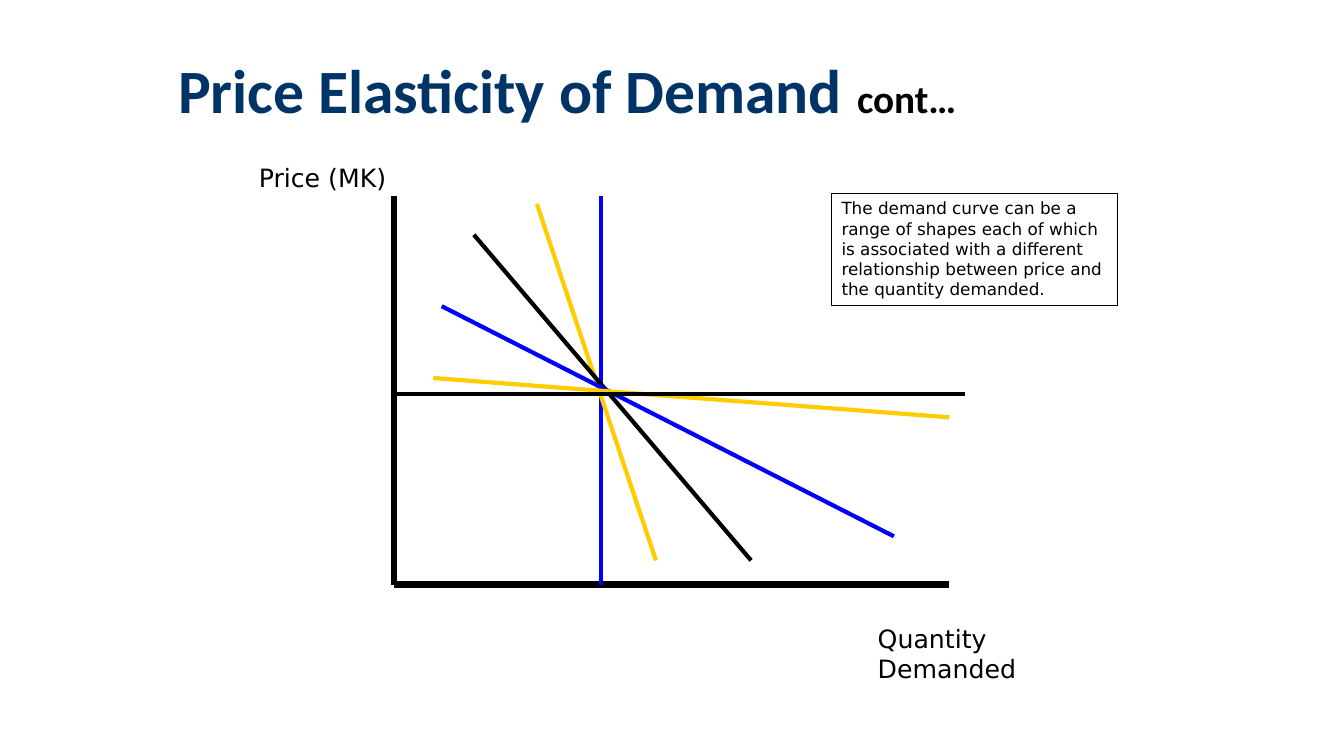
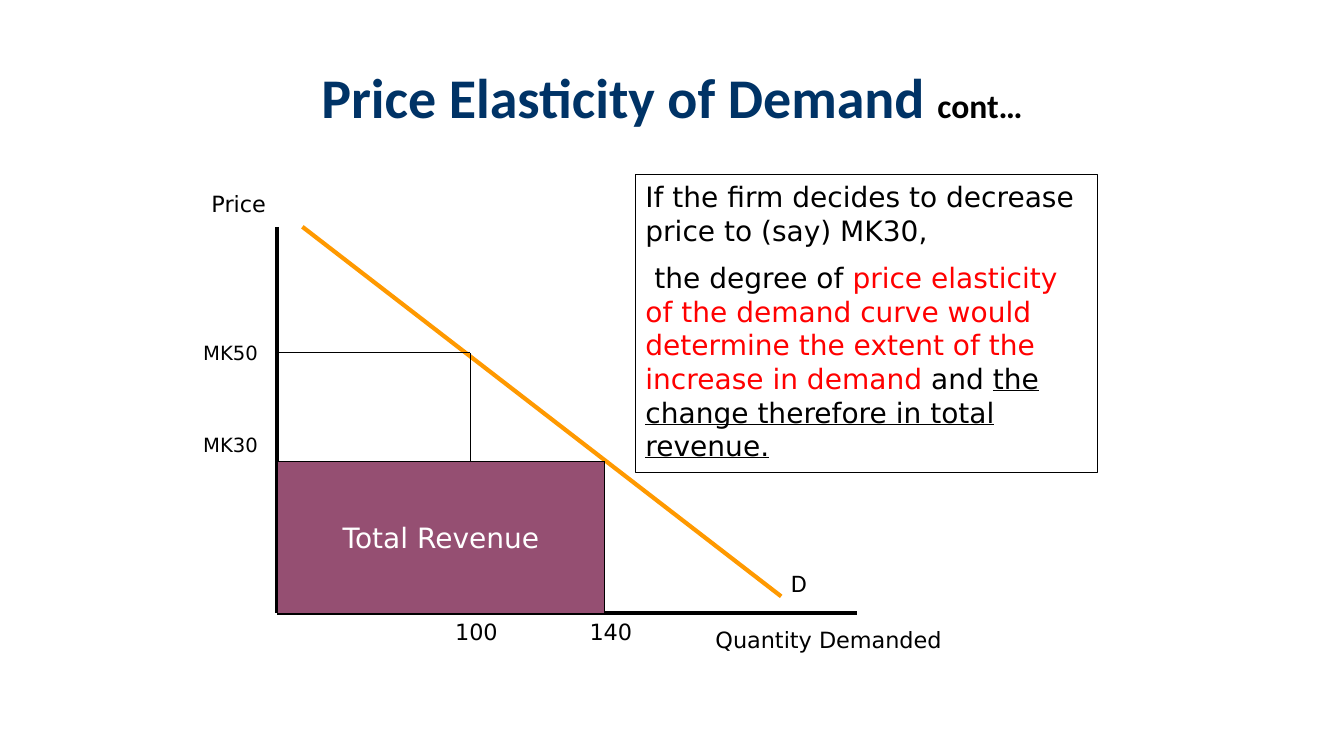
from lxml import etree
from pptx import Presentation
from pptx.dml.color import RGBColor
from pptx.enum.shapes import MSO_CONNECTOR, MSO_SHAPE
from pptx.enum.text import MSO_ANCHOR as ANCHOR, PP_ALIGN as ALIGN
from pptx.oxml.ns import qn
from pptx.util import Pt

NAVY = RGBColor(0x00, 0x33, 0x66)
BLACK = RGBColor(0x00, 0x00, 0x00)
WHITE = RGBColor(0xFF, 0xFF, 0xFF)
BLUE = RGBColor(0x00, 0x00, 0xFF)
YELLOW = RGBColor(0xFF, 0xCC, 0x00)
ORANGE = RGBColor(0xFF, 0x99, 0x00)
RED = RGBColor(0xFF, 0x00, 0x00)
PLUM = RGBColor(0x95, 0x4F, 0x72)

HEAD_FONT = "Calibri"
BODY_FONT = "DejaVu Sans"
TITLE_ONLY = 5


def add_run(p, text, size, color=BLACK, font=BODY_FONT, bold=False, underline=False):
    r = p.add_run()
    r.text = text
    f = r.font
    f.name, f.size, f.bold, f.underline = font, Pt(size), bold, underline
    f.color.rgb = color


def add_title_slide(prs, box, size, cont_size, align):
    """Add a slide with the shared title, placed in box."""
    slide = prs.slides.add_slide(prs.slide_layouts[TITLE_ONLY])
    sp = slide.shapes.title
    sp.left, sp.top, sp.width, sp.height = (Pt(v) for v in box)
    tf = sp.text_frame
    tf.word_wrap = True
    tf.vertical_anchor = ANCHOR.MIDDLE
    p = tf.paragraphs[0]
    p.alignment = align
    p.line_spacing = 0.9
    add_run(p, "Price Elasticity of Demand ", size, NAVY, HEAD_FONT, bold=True)
    add_run(p, "cont…", cont_size, BLACK, HEAD_FONT, bold=True)
    return slide


def add_line(slide, origin, start, end, color=BLACK, width=3):
    """Draw a line between two points given relative to origin."""
    x, y = origin
    line = slide.shapes.add_connector(
        MSO_CONNECTOR.STRAIGHT, Pt(x + start[0]), Pt(y + start[1]),
        Pt(x + end[0]), Pt(y + end[1]))
    line.line.color.rgb = color
    line.line.width = Pt(width)
    etree.SubElement(line._element.spPr, qn("a:effectLst"))


def add_axes(slide, box, width):
    x, y, w, h = box
    add_line(slide, (x, y), (0, 0), (0, h), width=width)
    add_line(slide, (x, y), (0, h), (w, h), width=width)


def add_label(slide, x, y, w, text, size, font=BODY_FONT):
    tb = slide.shapes.add_textbox(Pt(x), Pt(y), Pt(w), Pt(size * 1.65))
    tf = tb.text_frame
    tf.word_wrap = True
    add_run(tf.paragraphs[0], text, size, font=font)


def add_panel(slide, box, fill, anchor=ANCHOR.TOP):
    """Add a thinly outlined rectangle and return its text frame."""
    sp = slide.shapes.add_shape(MSO_SHAPE.RECTANGLE, *(Pt(v) for v in box))
    sp.shadow.inherit = False
    sp.fill.solid()
    sp.fill.fore_color.rgb = fill
    sp.line.color.rgb = BLACK
    sp.line.width = Pt(0.75)
    tf = sp.text_frame
    tf.word_wrap = True
    tf.vertical_anchor = anchor
    tf.paragraphs[0].alignment = ALIGN.LEFT
    return tf


def draw_demand_curves(slide, box):
    x, y, w, h = box
    add_axes(slide, box, 4.5)
    curves = [
        ((147.6, 0), (147.6, h), BLUE),
        ((102, 6), (187, 260.6), YELLOW),
        ((57, 28), (255, 260.6), BLACK),
        ((34, 79), (357, 243.4), BLUE),
        ((28, 130.3), (w, 158.4), YELLOW),
        ((0, 141.8), (408, 141.8), BLACK),
    ]
    for start, end, color in curves:
        add_line(slide, (x, y), start, end, color)
    add_label(slide, x - 103.7, y - 27.5, 112, "Price (MK)", 18)
    add_label(slide, x + 338.4, y + h + 23.8, 130, "Quantity Demanded", 18)


def draw_revenue_chart(slide, box):
    x, y, w, h = box
    add_axes(slide, box, 3)
    add_label(slide, x - 54, y - 30, 78, "Price", 16)
    add_label(slide, x + 306, y + h + 6, 252, "Quantity Demanded", 16)
    add_line(slide, (x, y), (18, 0), (360, 264), ORANGE)
    add_label(slide, x + 360, y + 240, 30, "D", 18, HEAD_FONT)

    # quantity, its x, label x; price, its y, label y
    points = [("100", 138, 120, "MK50", 90, 78),
              ("140", 234, 216, "MK30", 168, 144)]
    for quantity, qx, label_x, price, py, label_y in points:
        add_line(slide, (x, y), (0, py), (qx, py), width=0.75)
        add_line(slide, (x, y), (qx, py), (qx, h), width=0.75)
        add_label(slide, x - 60, y + label_y, 66, price, 14)
        add_label(slide, x + label_x, y + h, 60, quantity, 16)

    tf = add_panel(slide, (x, y + py, qx, h - py), PLUM, ANCHOR.MIDDLE)
    p = tf.paragraphs[0]
    p.alignment = ALIGN.CENTER
    add_run(p, "Total Revenue", 20, WHITE)


def build_curves_slide(prs):
    slide = add_title_slide(prs, (120, 21.6, 648, 90), 44, 28, ALIGN.LEFT)
    draw_demand_curves(slide, (281.5, 139.7, 396.7, 277.9))
    tf = add_panel(slide, (594, 138, 204, 80), WHITE)
    add_run(tf.paragraphs[0],
            "The demand curve can be a range of shapes each of which is associated "
            "with a different relationship between price and the quantity demanded.", 12)


def build_revenue_slide(prs):
    slide = add_title_slide(prs, (174, 42, 612, 60), 40, 24, ALIGN.CENTER)
    draw_revenue_chart(slide, (198, 162, 414, 276))
    tf = add_panel(slide, (454, 124.6, 330, 213), WHITE)
    add_run(tf.paragraphs[0], "If the firm decides to decrease price to (say) MK30,", 20)
    p = tf.add_paragraph()
    p.alignment = ALIGN.LEFT
    p.space_before = Pt(10)
    add_run(p, " the degree of ", 20)
    add_run(p, "price elasticity of the demand curve would determine "
               "the extent of the increase in demand ", 20, RED)
    add_run(p, "and ", 20)
    add_run(p, "the change therefore in total revenue.", 20, underline=True)


def main():
    prs = Presentation()
    prs.slide_width, prs.slide_height = Pt(960), Pt(540)
    build_curves_slide(prs)
    build_revenue_slide(prs)
    prs.save("out.pptx")


if __name__ == "__main__":
    main()
